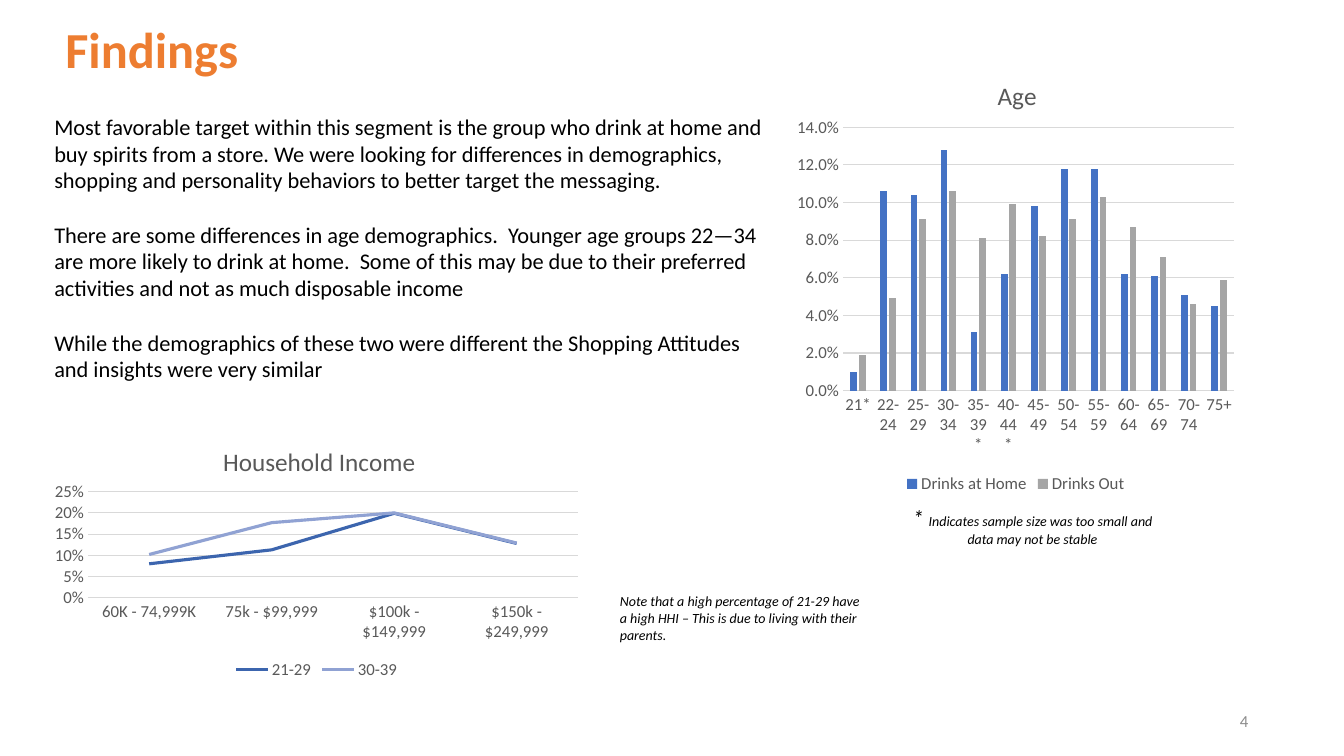
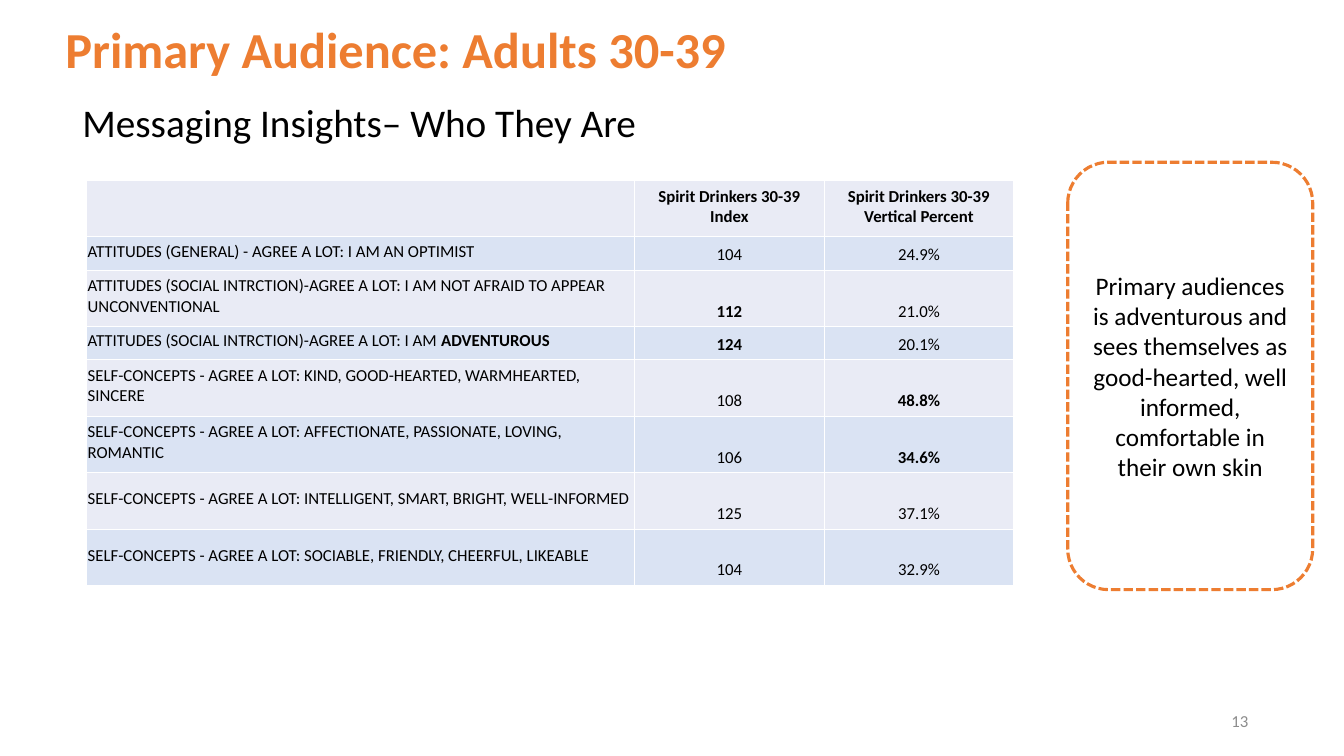
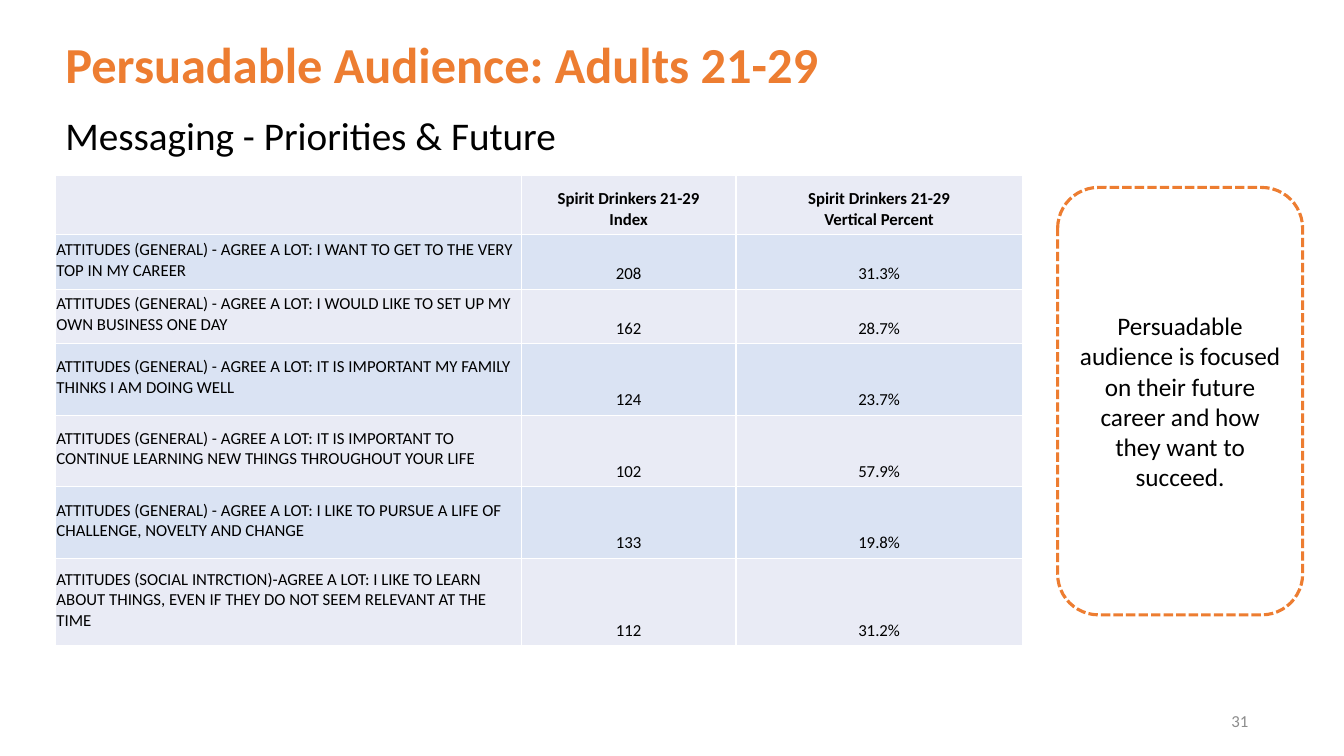
from pptx import Presentation
from pptx.chart.data import CategoryChartData
from pptx.dml.color import RGBColor
from pptx.enum.chart import XL_CHART_TYPE, XL_LEGEND_POSITION, XL_TICK_MARK
from pptx.enum.dml import MSO_LINE
from pptx.enum.shapes import MSO_SHAPE
from pptx.enum.text import MSO_ANCHOR, PP_ALIGN
from pptx.oxml import parse_xml
from pptx.oxml.ns import nsdecls, qn
from pptx.util import Inches, Pt

FONT = "Calibri"
HUES = {
    "accent": "ED7D31", "ink": "000000", "paper": "FFFFFF", "page": "8C8C8C",
    "label": "595959", "grid": "D9D9D9", "pale": "E9EBF5", "band": "DAE3F3",
    "home": "4472C4", "out": "A5A5A5", "young": "3C65AE", "older": "90A2D3",
}

# Text between bars is set apart from the rest of its line.
FINDINGS = [
    "Most favorable target within this segment is the group who drink at home and buy "
    "spirits from a store. We were looking for differences in demographics, shopping "
    "and personality behaviors to better target the messaging.",
    "There are some differences in age demographics.  Younger age groups 22—34 are more "
    "likely to drink at home.  Some of this may be due to their preferred activities "
    "and not as much disposable income",
    "While the demographics of these two were different the Shopping Attitudes and "
    "insights were very similar",
]
STAR = "|* |Indicates sample size was too small and data may not be stable"
PARENTS = ("Note that a high percentage of 21-29 have a high HHI – This is due to "
           "living with their parents.")

AGE = {
    "title": "Age", "kind": XL_CHART_TYPE.COLUMN_CLUSTERED,
    "box": (7.82, 0.51, 4.51, 4.43),
    "head": (0.45, 0.05), "plot": (0.12, 0.17, 0.86, 0.59),
    "top": 0.14, "step": 0.02, "format": "0.0%",
    "cats": ["21*", "22-24", "25-29", "30-34", "35-39 *", "40-44 *", "45-49",
             "50-54", "55-59", "60-64", "65-69", "70-74", "75+"],
    "series": [
        ("Drinks at Home", "home", [0.01, 0.106, 0.104, 0.128, 0.031, 0.062, 0.098,
                                    0.118, 0.118, 0.062, 0.061, 0.051, 0.045]),
        ("Drinks Out", "out", [0.019, 0.049, 0.091, 0.106, 0.081, 0.099, 0.082,
                               0.091, 0.103, 0.087, 0.071, 0.046, 0.059]),
    ],
}
INCOME = {
    "title": "Household Income", "kind": XL_CHART_TYPE.LINE,
    "box": (0.44, 4.21, 5.4, 2.57),
    "head": (0.32, 0.06), "plot": (0.08, 0.26, 0.9, 0.41),
    "top": 0.25, "step": 0.05, "format": "0%",
    "cats": ["60K - 74,999K", "75k - $99,999", "$100k - $149,999", "$150k - $249,999"],
    "series": [
        ("21-29", "young", [0.08, 0.113, 0.199, 0.128]),
        ("30-39", "older", [0.102, 0.177, 0.2, 0.129]),
    ],
}

GENERAL = "ATTITUDES (GENERAL) - AGREE A LOT: "
SOCIAL = "ATTITUDES (SOCIAL INTRCTION)-AGREE A LOT: "
SELF = "SELF-CONCEPTS - AGREE A LOT: "

PRIMARY = {
    "title": "Primary Audience: Adults 30-39", "top": 0.14, "page": 13,
    "sub": "Messaging Insights– Who They Are", "sub_box": (0.72, 0.97, 6.8, 0.53),
    "at": (0.86, 1.79), "cols": [5.43, 1.89, 1.87],
    "heights": [0.56, 0.33, 0.56, 0.33, 0.56, 0.56, 0.56, 0.56],
    "group": "Spirit Drinkers 30-39", "anchor": MSO_ANCHOR.MIDDLE,
    "rows": [
        (GENERAL + "I AM AN OPTIMIST", "104", "24.9%"),
        (SOCIAL + "I AM NOT AFRAID TO APPEAR UNCONVENTIONAL", "|112|", "21.0%"),
        (SOCIAL + "I AM |ADVENTUROUS|", "|124|", "20.1%"),
        (SELF + "KIND, GOOD-HEARTED, WARMHEARTED, SINCERE", "108", "|48.8%|"),
        (SELF + "AFFECTIONATE, PASSIONATE, LOVING, ROMANTIC", "106", "|34.6%|"),
        (SELF + "INTELLIGENT, SMART, BRIGHT, WELL-INFORMED", "125", "37.1%"),
        (SELF + "SOCIABLE, FRIENDLY, CHEERFUL, LIKEABLE", "104", "32.9%"),
    ],
    "call": "Primary audiences is adventurous and sees themselves as good-hearted, "
            "well informed, comfortable in their own skin",
    "call_at": (10.59, 1.61),
}
FUTURE = {
    "title": "Persuadable Audience: Adults 21-29", "top": 0.29, "page": 31,
    "sub": "Messaging - Priorities & Future", "sub_box": (0.55, 0.64, 11.5, 1.45),
    "at": (0.55, 1.74), "cols": [4.62, 2.13, 2.84],
    "heights": [0.59, 0.54, 0.54, 0.71, 0.71, 0.71, 0.87],
    "group": "Spirit Drinkers 21-29", "anchor": MSO_ANCHOR.BOTTOM,
    "rows": [
        (GENERAL + "I WANT TO GET TO THE VERY TOP IN MY CAREER", "208", "31.3%"),
        (GENERAL + "I WOULD LIKE TO SET UP MY OWN BUSINESS ONE DAY", "162", "28.7%"),
        (GENERAL + "IT IS IMPORTANT MY FAMILY THINKS I AM DOING WELL", "124", "23.7%"),
        (GENERAL + "IT IS IMPORTANT TO CONTINUE LEARNING NEW THINGS THROUGHOUT "
         "YOUR LIFE", "102", "57.9%"),
        (GENERAL + "I LIKE TO PURSUE A LIFE OF CHALLENGE, NOVELTY AND CHANGE",
         "133", "19.8%"),
        (SOCIAL + "I LIKE TO LEARN ABOUT THINGS, EVEN IF THEY DO NOT SEEM RELEVANT "
         "AT THE TIME", "112", "31.2%"),
    ],
    "call": "Persuadable audience is focused on their future career and how they want "
            "to succeed.",
    "call_at": (10.49, 1.86),
}


def hue(name):
    return RGBColor.from_string(HUES[name])


def style(font, size, color="ink", bold=False, italic=False):
    font.name, font.size = FONT, Pt(size)
    font.bold, font.italic = bold, italic
    font.color.rgb = hue(color)


def put(frame, lines, size, color="ink", bold=False, italic=False, big=None,
        align=PP_ALIGN.LEFT, anchor=MSO_ANCHOR.TOP, gap=0, lead=1.0):
    """Write lines; parts between bars turn bold, or take the size in big."""
    frame.word_wrap = True
    frame.vertical_anchor = anchor
    for n, line in enumerate(lines):
        para = frame.add_paragraph() if n else frame.paragraphs[0]
        para.alignment, para.line_spacing = align, lead
        if n:
            para.space_before = Pt(gap)
        for k, part in enumerate(line.split("|")):
            if part:
                run = para.add_run()
                run.text = part
                odd = k % 2 == 1
                style(run.font, big if odd and big else size, color,
                      bold or (odd and not big), italic)


def write(slide, box, lines, size, **look):
    area = slide.shapes.add_textbox(*map(Inches, box))
    put(area.text_frame, lines, size, **look)


def start(deck, title, top, page):
    """Add a blank slide with its title and page number."""
    slide = deck.slides.add_slide(deck.slide_layouts[6])
    write(slide, (0.55, top, 11.5, 0.7), [title], 36, color="accent", bold=True,
          anchor=MSO_ANCHOR.BOTTOM, lead=0.9)
    write(slide, (9.48, 6.95, 3, 0.4), [str(page)], 12, color="page",
          align=PP_ALIGN.RIGHT, anchor=MSO_ANCHOR.MIDDLE)
    return slide


def place(node, spot, shares, inner=False):
    """Fix a chart part at shares of the chart's size."""
    for old in node.findall(qn("c:layout")):
        node.remove(old)
    target = '<c:layoutTarget val="inner"/>' if inner else ""
    modes = "".join(f'<c:{a}Mode val="edge"/>' for a in "xy")
    sizes = "".join(f'<c:{a} val="{v}"/>' for a, v in zip("xywh", shares))
    node.insert(spot, parse_xml(
        f'<c:layout {nsdecls("c")}><c:manualLayout>{target}{modes}{sizes}'
        "</c:manualLayout></c:layout>"))


def plot(slide, info):
    data = CategoryChartData(number_format=info["format"])
    data.categories = info["cats"]
    for name, _, vals in info["series"]:
        data.add_series(name, vals)
    chart = slide.shapes.add_chart(info["kind"], *map(Inches, info["box"]), data).chart
    style(chart.font, 12, "label")

    chart.has_title = True
    head = chart.chart_title
    head.text_frame.text = info["title"]
    style(head.text_frame.paragraphs[0].runs[0].font, 18, "label")
    head.include_in_layout = False
    place(head.element, 1, info["head"])
    place(chart.element.find(".//" + qn("c:plotArea")), 0, info["plot"], True)

    chart.has_legend = True
    chart.legend.position = XL_LEGEND_POSITION.BOTTOM
    chart.legend.include_in_layout = False
    style(chart.legend.font, 12, "label")

    cat, val = chart.category_axis, chart.value_axis
    for axis in (cat, val):
        axis.major_tick_mark = axis.minor_tick_mark = XL_TICK_MARK.NONE
        style(axis.tick_labels.font, 12, "label")
    val.minimum_scale, val.maximum_scale = 0, info["top"]
    val.major_unit = info["step"]
    val.tick_labels.number_format = info["format"]
    val.tick_labels.number_format_is_linked = False
    val.format.line.fill.background()
    for line in (cat.format.line, val.major_gridlines.format.line):
        line.color.rgb, line.width = hue("grid"), Pt(0.75)

    group = chart.plots[0]
    group.vary_by_categories = False
    bars = info["kind"] == XL_CHART_TYPE.COLUMN_CLUSTERED
    if bars:
        group.gap_width, group.overlap = 219, -27
    for item, (_, color, _) in zip(group.series, info["series"]):
        if bars:
            item.format.fill.solid()
            item.format.fill.fore_color.rgb = hue(color)
        else:
            item.smooth = False
            item.format.line.color.rgb = hue(color)
            item.format.line.width = Pt(2.25)


def grid(slide, info):
    cols, heights = info["cols"], info["heights"]
    box = (*info["at"], sum(cols), sum(heights))
    table = slide.shapes.add_table(len(heights), len(cols), *map(Inches, box)).table
    table.first_row = table.horz_banding = False
    for col, width in zip(table.columns, cols):
        col.width = Inches(width)
    heads = ("", info["group"] + "\nIndex", info["group"] + "\nVertical Percent")
    for r, texts in enumerate([heads] + info["rows"]):
        table.rows[r].height = Inches(heights[r])
        for c, text in enumerate(texts):
            cell = table.cell(r, c)
            cell.fill.solid()
            cell.fill.fore_color.rgb = hue("band" if r % 2 else "pale")
            cell.margin_left = cell.margin_right = cell.margin_top = Inches(0.01)
            cell.margin_bottom = Inches(0.05)
            put(cell.text_frame, text.split("\n"), 12, bold=r == 0,
                align=PP_ALIGN.CENTER if c else PP_ALIGN.LEFT)
            if r == 0:
                cell.vertical_anchor = info["anchor"]
            else:
                cell.vertical_anchor = MSO_ANCHOR.BOTTOM if c else MSO_ANCHOR.MIDDLE


def callout(slide, at, text):
    card = slide.shapes.add_shape(MSO_SHAPE.ROUNDED_RECTANGLE,
                                  *map(Inches, (*at, 2.43, 4.24)))
    card.shadow.inherit = False
    card.fill.solid()
    card.fill.fore_color.rgb = hue("paper")
    card.line.color.rgb, card.line.width = hue("accent"), Pt(2.25)
    card.line.dash_style = MSO_LINE.SQUARE_DOT
    put(card.text_frame, [text], 18, align=PP_ALIGN.CENTER, anchor=MSO_ANCHOR.MIDDLE)


def findings(deck):
    slide = start(deck, "Findings", 0.14, 4)
    write(slide, (0.44, 1.07, 7.3, 2.79), FINDINGS, 16, gap=19.5)
    plot(slide, AGE)
    plot(slide, INCOME)
    write(slide, (8.89, 4.95, 2.7, 0.55), [STAR], 10, italic=True, big=16,
          align=PP_ALIGN.CENTER)
    write(slide, (6.05, 5.83, 2.63, 0.61), [PARENTS], 10, italic=True)


def audience(deck, info):
    slide = start(deck, info["title"], info["top"], info["page"])
    write(slide, info["sub_box"], [info["sub"]], 28, anchor=MSO_ANCHOR.MIDDLE, lead=0.9)
    grid(slide, info)
    callout(slide, info["call_at"], info["call"])


def main():
    deck = Presentation()
    deck.slide_width, deck.slide_height = Inches(13.33), Inches(7.5)
    findings(deck)
    for info in (PRIMARY, FUTURE):
        audience(deck, info)
    deck.save("out.pptx")


if __name__ == "__main__":
    main()
